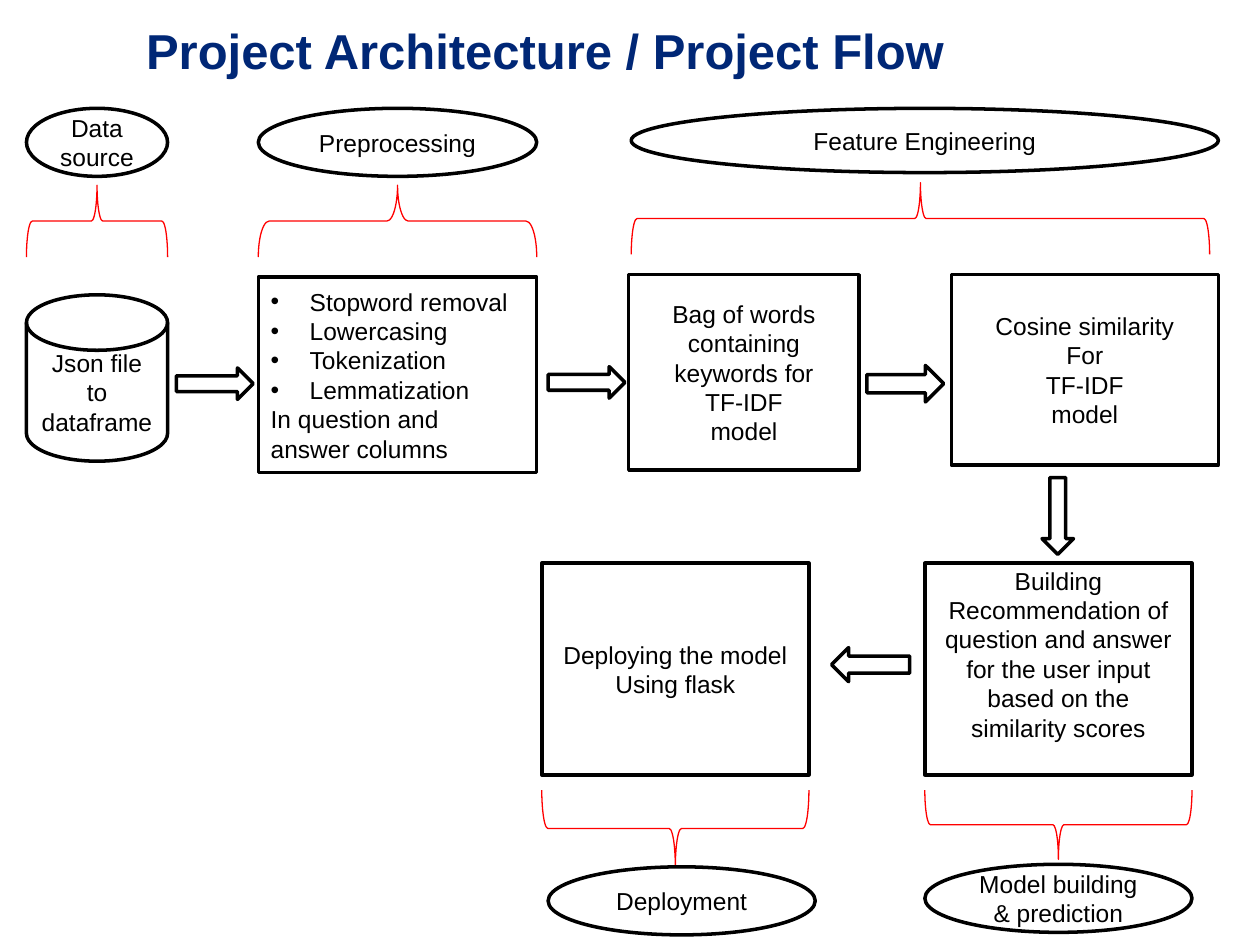
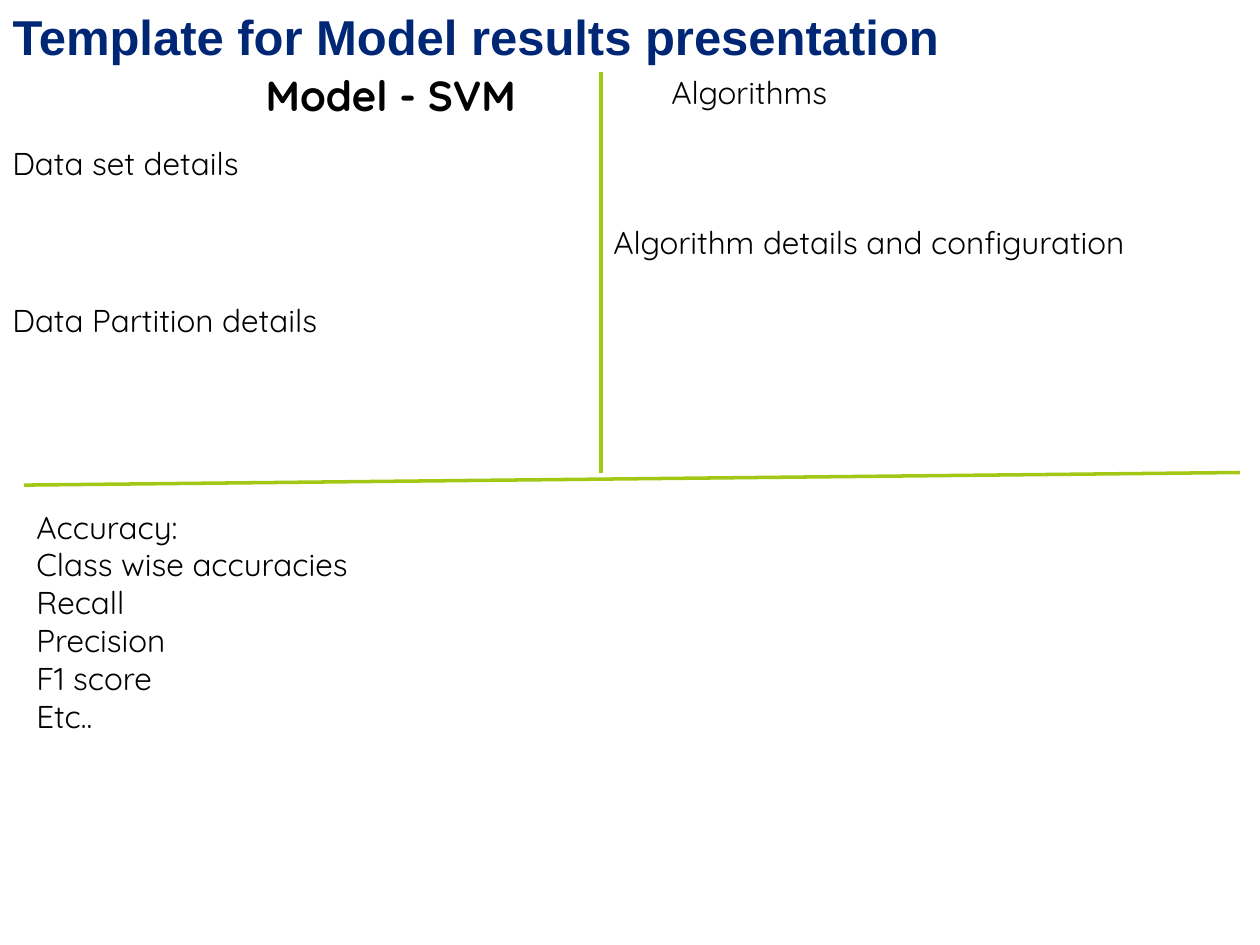
from collections import namedtuple
from dataclasses import dataclass

from lxml import etree
from pptx import Presentation
from pptx.dml.color import RGBColor
from pptx.enum.shapes import MSO_CONNECTOR, MSO_SHAPE
from pptx.enum.text import MSO_ANCHOR, MSO_AUTO_SIZE, PP_ALIGN
from pptx.oxml.ns import qn
from pptx.util import Inches, Pt

STRAIGHT = MSO_CONNECTOR.STRAIGHT
RECT, OVAL, DISK = MSO_SHAPE.RECTANGLE, MSO_SHAPE.OVAL, MSO_SHAPE.FLOWCHART_MAGNETIC_DISK
RIGHT, LEFT, DOWN = MSO_SHAPE.RIGHT_ARROW, MSO_SHAPE.LEFT_ARROW, MSO_SHAPE.DOWN_ARROW
BRACE = MSO_SHAPE.LEFT_BRACE
TOP, MIDDLE = MSO_ANCHOR.TOP, MSO_ANCHOR.MIDDLE
ALIGN_LEFT, ALIGN_CENTER = PP_ALIGN.LEFT, PP_ALIGN.CENTER
NO_AUTOFIT = MSO_AUTO_SIZE.NONE
TITLE_ONLY = 5
POINT_UP, POINT_DOWN = 90, 270


@dataclass(frozen=True)
class Theme:
    navy: RGBColor = RGBColor(0x00, 0x27, 0x76)
    black: RGBColor = RGBColor(0, 0, 0)
    white: RGBColor = RGBColor(255, 255, 255)
    red: RGBColor = RGBColor(255, 0, 0)
    green: RGBColor = RGBColor(0xA2, 0xC8, 0x16)
    flow_font: str = "Arial"
    body_font: str = "Quicksand"
    title_size: int = 28
    heading_size: int = 24
    body_size: int = 18
    flow_size: int = 14
    line_width: float = 2
    brace_width: float = 0.75
    bullet_indent: float = 0.31


THEME = Theme()
TITLE_STYLE = {"name": THEME.flow_font, "size": THEME.title_size, "color": THEME.navy, "bold": True}
FLOW_STYLE = {"name": THEME.flow_font, "size": THEME.flow_size, "color": THEME.black, "bold": False}
BODY_STYLE = {"name": THEME.body_font, "size": THEME.body_size, "color": THEME.black, "bold": False}
HEADING_STYLE = {**BODY_STYLE, "size": THEME.heading_size, "bold": True}


class Box(namedtuple("Box", "left top width height")):
    def inner(self, left, top, width, height):
        """Return a box whose left and top are measured from this one."""
        return Box(self.left + left, self.top + top, width, height)

    def lengths(self):
        return [Inches(value) for value in self]


def format_span(span, style):
    for name, value in style.items():
        if name == "color":
            span.font.color.rgb = value
        else:
            setattr(span.font, name, Pt(value) if name == "size" else value)


def add_bullet(para):
    properties = para._p.get_or_add_pPr()
    indent = Inches(THEME.bullet_indent)
    properties.set("marL", str(indent))
    properties.set("indent", str(-indent))
    etree.SubElement(properties, qn("a:buFont"), typeface=THEME.flow_font)
    etree.SubElement(properties, qn("a:buChar"), char="•")


def write(shape, lines, style, align=ALIGN_LEFT, anchor=TOP, bullets=0, **margins):
    """Fill a shape with one paragraph per line; the first few may be bulleted."""
    frame = shape.text_frame
    settings = {"word_wrap": True, "auto_size": NO_AUTOFIT, "vertical_anchor": anchor}
    insets = {"left": 0.1, "top": 0.05, "right": 0.1, "bottom": 0.05, **margins}
    settings.update({f"margin_{side}": Inches(inset) for side, inset in insets.items()})
    for name, value in settings.items():
        setattr(frame, name, value)
    for number, line in enumerate(lines):
        para = frame.paragraphs[0] if number == 0 else frame.add_paragraph()
        para.alignment = align
        if number < bullets:
            add_bullet(para)
        span = para.add_run()
        span.text = line
        format_span(span, style)


def add_titled_page(deck, title, box, indent=0.1):
    page = deck.slides.add_slide(deck.slide_layouts[TITLE_ONLY])
    holder = page.shapes.title
    holder.left, holder.top, holder.width, holder.height = box.lengths()
    write(holder, [title], TITLE_STYLE, left=indent)
    return page


def add_outlined(page, kind, box, lines=(), align=ALIGN_CENTER, **options):
    shape = page.shapes.add_shape(kind, *box.lengths())
    shape.shadow.inherit = False
    shape.fill.solid()
    shape.fill.fore_color.rgb = THEME.white
    shape.line.color.rgb = THEME.black
    shape.line.width = Pt(THEME.line_width)
    if lines:
        write(shape, lines, FLOW_STYLE, align, MIDDLE, **options)


def add_brace(page, box, rotation, curve=0.08):
    """Draw a brace that fills the box after a quarter turn."""
    middle_x, middle_y = box.left + box.width / 2, box.top + box.height / 2
    upright = Box(middle_x - box.height / 2, middle_y - box.width / 2, box.height, box.width)
    brace = page.shapes.add_shape(BRACE, *upright.lengths())
    brace.adjustments[0] = curve
    brace.rotation = rotation
    brace.shadow.inherit = False
    brace.fill.background()
    brace.line.color.rgb = THEME.red
    brace.line.width = Pt(THEME.brace_width)


def add_stage_names(page, region):
    """Place the upper ovals with the braces that open over their steps."""
    stages = [
        (["Data source"], 0, 1.12, 0.54, 0, 1.12, 0.61, 0.08),
        (["Preprocessing"], 1.84, 2.21, 0.54, 1.84, 2.21, 0.61, 0.15),
        (["Feature Engineering"], 4.8, 4.66, 0.51, 4.8, 4.59, 0.59, 0.08),
    ]
    for lines, left, width, height, brace_left, brace_width, brace_top, curve in stages:
        add_brace(page, region.inner(brace_left, brace_top, brace_width, 0.57), POINT_UP, curve)
        add_outlined(page, OVAL, region.inner(left, 0, width, height), lines)


def add_preparation_row(page, region):
    add_outlined(page, DISK, region.inner(0, 0.16, 1.12, 1.32), ["Json file to dataframe"])
    add_outlined(
        page, RECT, region.inner(1.84, 0.02, 2.21, 1.55),
        ["Stopword removal", "Lowercasing", "Tokenization", "Lemmatization",
         "In question and answer columns"],
        align=ALIGN_LEFT, bullets=4)
    add_outlined(page, RECT, region.inner(4.78, 0, 1.83, 1.55),
                 ["Bag of words containing keywords for", "TF-IDF", "model"])
    add_outlined(page, RECT, region.inner(7.34, 0, 2.12, 1.51),
                 ["Cosine similarity", "For", "TF-IDF", "model"])
    for left, top, height in [(1.19, 0.74, 0.25), (4.14, 0.73, 0.25), (6.67, 0.72, 0.29)]:
        add_outlined(page, RIGHT, region.inner(left, top, 0.61, height))


def add_delivery_row(page, region):
    """Place the two lower steps, their braces and the ovals that name them."""
    steps = [
        (3.04, ["Building Recommendation of question and answer for the user input "
                "based on the similarity scores"], 0.29,
         ["Model building", "& prediction"], 3.04, 2.39, 0.55),
        (0, ["Deploying the model", "Using flask"], 0.05,
         ["Deployment"], 0.05, 2.41, 0.61),
    ]
    for left, lines, bottom, names, oval_left, oval_top, brace_height in steps:
        add_outlined(page, RECT, region.inner(left, 0, 2.12, 1.68), lines, bottom=bottom)
        add_brace(page, region.inner(left, 1.8, 2.12, brace_height), POINT_DOWN)
        add_outlined(page, OVAL, region.inner(oval_left, oval_top, 2.12, 0.54), names)
    add_outlined(page, DOWN, region.inner(3.97, -0.68, 0.25, 0.61))
    add_outlined(page, LEFT, region.inner(2.3, 0.67, 0.62, 0.27))


def build_flow_page(deck):
    page = add_titled_page(deck, "Project Architecture / Project Flow",
                           Box(0.41, 0.11, 7.26, 0.75), indent=0.75)
    add_preparation_row(page, Box(0.21, 2.18, 9.46, 1.57))
    add_delivery_row(page, Box(4.3, 4.47, 5.16, 2.94))
    add_stage_names(page, Box(0.21, 0.86, 9.46, 1.18))


def add_divider(page, *ends):
    line = page.shapes.add_connector(STRAIGHT, *[Inches(end) for end in ends])
    line.line.color.rgb = THEME.green
    line.line.width = Pt(THEME.line_width)
    etree.SubElement(line._element.spPr, qn("a:effectLst"))


def add_text(page, box, lines, style=BODY_STYLE):
    write(page.shapes.add_textbox(*box.lengths()), lines, style)


def add_model_panel(page, region):
    add_text(page, region.inner(2.01, 0, 2.65, 0.5), ["Model - SVM"], HEADING_STYLE)
    add_text(page, region.inner(0, 0.59, 2.16, 0.4), ["Data set details"])
    add_text(page, region.inner(0, 1.84, 2.82, 0.4), ["Data Partition details"])


def add_algorithm_panel(page, region):
    add_text(page, region.inner(0.46, 0.03, 1.66, 0.4), ["Algorithms"])
    add_text(page, region.inner(0, 1.22, 5.23, 0.4), ["Algorithm details and configuration"])


def build_results_page(deck):
    page = add_titled_page(deck, "Template for Model results presentation",
                           Box(0, 0, 8.49, 0.57))
    add_divider(page, 4.77, 0.57, 4.77, 3.75)
    add_divider(page, 0.19, 3.85, 9.84, 3.75)
    add_model_panel(page, Box(0, 0.5, 4.77, 3.25))
    add_algorithm_panel(page, Box(4.77, 0.5, 5.23, 3.25))
    add_text(page, Box(0.19, 3.98, 5.71, 2.22),
             ["Accuracy:", "Class wise accuracies", "Recall", "Precision", "F1 score", "Etc.."])


def main():
    deck = Presentation()
    deck.slide_width, deck.slide_height = Inches(10), Inches(7.5)
    build_flow_page(deck)
    build_results_page(deck)
    deck.save("out.pptx")


if __name__ == "__main__":
    main()
